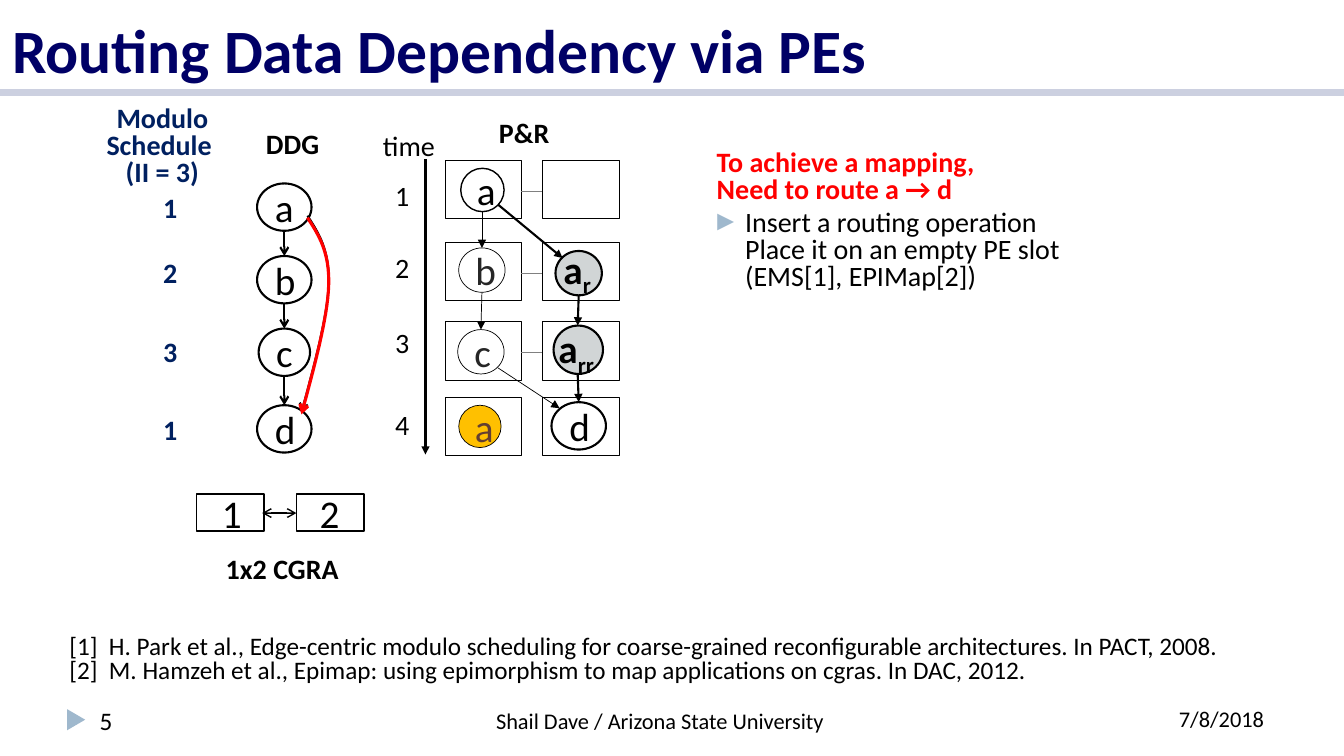
"""Build the slide on routing data dependencies via PEs."""
from lxml.etree import SubElement
from pptx import Presentation
from pptx.dml.color import RGBColor
from pptx.enum.shapes import MSO_CONNECTOR, MSO_SHAPE
from pptx.enum.text import MSO_ANCHOR, MSO_AUTO_SIZE, PP_ALIGN
from pptx.oxml.ns import qn
from pptx.util import Inches, Pt

LEFT, CENTER, JUSTIFY = PP_ALIGN.LEFT, PP_ALIGN.CENTER, PP_ALIGN.JUSTIFY
BLACK, NAVY, RED, WHITE = "000000", "002060", "FF0000", "FFFFFF"
GREY, DARK, STEEL = "D1D5D6", "262626", "9FB8CD"

TITLE = "Routing Data Dependency via PEs"
ROUTING_STEPS = ["Insert a routing operation\nPlace it on an empty PE slot", "(EMS[1], EPIMap[2])"]
REFERENCES = [
    "[1]  H. Park et al., Edge-centric modulo scheduling for coarse-grained "
    "reconfigurable architectures. In PACT, 2008.",
    "[2]  M. Hamzeh et al., Epimap: using epimorphism to map applications on cgras. In DAC, 2012.",
]
HEADINGS = [
    ("DDG", 2.54, 1.21, 0.73),
    ("1x2 CGRA", 2.14, 5.42, 1.33),
    ("P&R", 4.85, 1.1, 0.71),
]
SCHEDULE = [("1", 1.84), ("2", 2.49), ("3", 3.27), ("1", 4.04)]
TIMES = [("1", 1.72), ("2", 2.44), ("3", 3.18), ("4", 3.99)]
DDG_NODES = [("a", 1.82, 0.54), ("b", 2.54, 0.54), ("c", 3.26, 0.51), ("d", 4.02, 0.54)]
DDG_CENTER, DDG_HEIGHT = 2.82, 0.47
PE_COLUMNS = [(4.42, 0.75), (5.38, 0.76)]
PE_ROWS = [1.59, 2.4, 3.19, 3.94]
PE_HEIGHT = 0.58
PLACED = [
    ("a", 4.57, 1.67, 0.43, 0.43, WHITE, 1, BLACK),
    ("b", 4.55, 2.46, 0.46, 0.44, WHITE, 0.5, DARK),
    ("c", 4.54, 3.27, 0.46, 0.44, WHITE, 0.5, DARK),
    ("a", 4.55, 4.02, 0.42, 0.42, "FFC000", 0.5, "633F32"),
    ("", 5.51, 2.49, 0.46, 0.44, GREY, 1.5, BLACK),
    ("", 5.49, 3.23, 0.49, 0.48, GREY, 1.5, BLACK),
    ("d", 5.47, 3.99, 0.54, 0.47, WHITE, 1.5, BLACK),
]
ROUTES = [
    (4.78, 2.1, 4.78, 2.46, 0.5),
    (4.78, 2.9, 4.77, 3.27, 0.5),
    (4.94, 3.65, 5.55, 4.05, 0.5),
    (4.94, 2.03, 5.58, 2.56, 1.5),
    (5.74, 2.93, 5.73, 3.23, 1.5),
    (5.73, 3.72, 5.74, 3.99, 1.5),
    (4.22, 1.58, 4.22, 4.51, 1.5),
]
ROUTED = [("r", 5.49, 2.38, 0.49), ("rr", 5.44, 3.17, 0.58)]
CGRA = [("1", 1.95, 2.1), ("2", 2.94, 3.07)]
CURVE = [(3.05, 2.14), (3.16, 2.31), (3.27, 2.48), (3.26, 2.81),
         (3.25, 3.13), (3.12, 3.61), (2.99, 4.09)]


def color(value):
    return RGBColor.from_string(value)


def add_run(p, text, size, ink=BLACK, bold=False):
    for i, part in enumerate(text.split("\n")):
        if i:
            p.add_line_break()
        r = p.add_run()
        r.text = part
        r.font.name, r.font.size, r.font.bold = "Calibri", Pt(size), bold
        r.font.color.rgb = color(ink)
    return r


def write(tf, lines, size, ink=BLACK, bold=False, align=LEFT, spacing=1.0):
    for i, line in enumerate(lines):
        p = tf.add_paragraph() if i else tf.paragraphs[0]
        p.alignment, p.line_spacing, p.space_before = align, spacing, Pt(0)
        add_run(p, line, size, ink, bold)


def text_box(x, y, w, h, lines, size, *style, wrap=False):
    tf = s.shapes.add_textbox(Inches(x), Inches(y), Inches(w), Inches(h)).text_frame
    tf.word_wrap = wrap
    write(tf, lines, size, *style)
    return tf


def shape(kind, x, y, w, h, fill=None, width=None):
    sp = s.shapes.add_shape(kind, Inches(x), Inches(y), Inches(w), Inches(h))
    sp.shadow.inherit = False
    if fill:
        sp.fill.solid()
        sp.fill.fore_color.rgb = color(fill)
    else:
        sp.fill.background()
    if width:
        sp.line.color.rgb, sp.line.width = color(BLACK), Pt(width)
    else:
        sp.line.fill.background()
    return sp


def node(label, x, y, w, h, fill, width, ink):
    tf = shape(MSO_SHAPE.OVAL, x, y, w, h, fill, width).text_frame
    tf.vertical_anchor = MSO_ANCHOR.MIDDLE
    if label:
        write(tf, [label], 28, ink, False, CENTER)


def arrowheads(sp, head, tail):
    ln = sp.line._get_or_add_ln()
    for tag, kind in (("a:headEnd", head), ("a:tailEnd", tail)):
        if kind:
            SubElement(ln, qn(tag), type=kind)


def line(x1, y1, x2, y2, width, ink=BLACK, head=None, tail=None):
    c = s.shapes.add_connector(MSO_CONNECTOR.STRAIGHT, Inches(x1), Inches(y1), Inches(x2), Inches(y2))
    c.line.color.rgb, c.line.width = color(ink), Pt(width)
    arrowheads(c, head, tail)
    SubElement(c._element.spPr, qn("a:effectLst"))


def curve(shift, ink, width, steps=16):
    points = []
    for start in (0, 3):
        a, b, c, d = CURVE[start:start + 4]
        for t in (i / steps for i in range(steps + 1)):
            u = 1 - t
            points.append(tuple(u**3 * a[k] + 3 * u * u * t * b[k] + 3 * u * t * t * c[k] + t**3 * d[k]
                                for k in (0, 1)))
    points = [(Inches(x), Inches(y + shift)) for x, y in points]
    builder = s.shapes.build_freeform(*points[0])
    builder.add_line_segments(points[1:], close=False)
    sp = builder.convert_to_shape()
    sp.shadow.inherit = False
    sp.fill.background()
    sp.line.color.rgb, sp.line.width = color(ink), Pt(width)
    arrowheads(sp, None, "arrow")


def place(sp, x, y, w, h, anchor):
    sp.left, sp.top, sp.width, sp.height = Inches(x), Inches(y), Inches(w), Inches(h)
    sp.text_frame.auto_size = MSO_AUTO_SIZE.NONE
    sp.text_frame.vertical_anchor = anchor
    return sp.text_frame


prs = Presentation()
prs.slide_width, prs.slide_height = Inches(13.33), Inches(7.5)
s = prs.slides.add_slide(prs.slide_layouts[1])

line(0, 0.92, 13.33, 0.92, 5, "CCD0E0")
write(place(s.shapes.title, 0.02, 0, 13.33, 0.9, MSO_ANCHOR.BOTTOM), [TITLE], 44, "000066", True)

text_box(7.01, 1.45, 2.78, 0.65, ["To achieve a mapping,", "Need to route a → d"], 20, RED, True, LEFT, 0.8)
steps_tf = place(s.placeholders[1], 6.96, 2.04, 3.68, 0.92, MSO_ANCHOR.TOP)
write(steps_tf, ROUTING_STEPS, 20, BLACK, False, LEFT, 0.8)
for i, p in enumerate(steps_tf.paragraphs):
    pPr = p._p.get_or_add_pPr()
    pPr.set("marL", str(Inches(0.33)))
    pPr.set("indent", str(0 if i else Inches(-0.33)))
    if i:
        SubElement(pPr, qn("a:buNone"))
    else:
        SubElement(SubElement(pPr, qn("a:buClr")), qn("a:srgbClr"), val=STEEL)
        SubElement(pPr, qn("a:buFont"), typeface="Times New Roman")
        SubElement(pPr, qn("a:buChar"), char="►")

for label, x, y, w in HEADINGS:
    text_box(x, y, w, 0.44, [label], 20, BLACK, True)
text_box(0.95, 1.01, 1.32, 0.91, ["Modulo\nSchedule \n(II = 3)"], 20, NAVY, True, CENTER, 0.8)
for label, y in SCHEDULE:
    text_box(1.52, y, 0.34, 0.44, [label], 20, NAVY, True)
text_box(3.7, 1.23, 0.73, 0.44, ["time"], 20)
for label, y in TIMES:
    text_box(3.82, y, 0.34, 0.44, [label], 20, BLACK, False, JUSTIFY)

for label, y, w in DDG_NODES:
    node(label, DDG_CENTER - w / 2, y, w, DDG_HEIGHT, WHITE, 1.5, BLACK)
for (_, y, _), (_, below, _) in zip(DDG_NODES, DDG_NODES[1:]):
    line(DDG_CENTER, y + DDG_HEIGHT, DDG_CENTER, below, 1.5, tail="arrow")
curve(0, BLACK, 1.5)
curve(0.02, RED, 2.25)

for y in PE_ROWS:
    for x, w in PE_COLUMNS:
        shape(MSO_SHAPE.RECTANGLE, x, y, w, PE_HEIGHT, WHITE, 0.5)
for y in PE_ROWS[:-1]:
    line(sum(PE_COLUMNS[0]), y + 0.31, PE_COLUMNS[1][0], y + 0.31, 0.5, "808080")
for placed in PLACED:
    node(*placed)
for route in ROUTES:
    line(*route, tail="triangle")
for subscript, x, y, w in ROUTED:
    tf = text_box(x, y, w, 0.57, ["a"], 28, BLACK, True)
    r = add_run(tf.paragraphs[0], subscript, 28, BLACK, True)
    r.font._element.set("baseline", "-25000")

for label, box_x, label_x in CGRA:
    shape(MSO_SHAPE.RECTANGLE, box_x, 4.9, 0.67, 0.37, None, 1)
    text_box(label_x, 4.81, 0.4, 0.57, [label], 28, BLACK, False, CENTER)
line(2.6, 5.09, 2.94, 5.09, 1, head="arrow", tail="arrow")

text_box(0.59, 6.26, 12.23, 0.59, REFERENCES, 18, BLACK, False, LEFT, 0.8, wrap=True)
shape(MSO_SHAPE.ISOSCELES_TRIANGLE, 0.65, 7.05, 0.21, 0.18, STEEL).rotation = 90
text_box(0.89, 6.95, 1.88, 0.4, ["5"], 18, wrap=True)
text_box(4.8, 6.97, 3.49, 0.37, ["Shail Dave / Arizona State University"], 16, BLACK, False, CENTER)
text_box(11.4, 6.95, 1.43, 0.4, ["7/8/2018"], 16, BLACK, False, CENTER, wrap=True)

prs.save("out.pptx")
